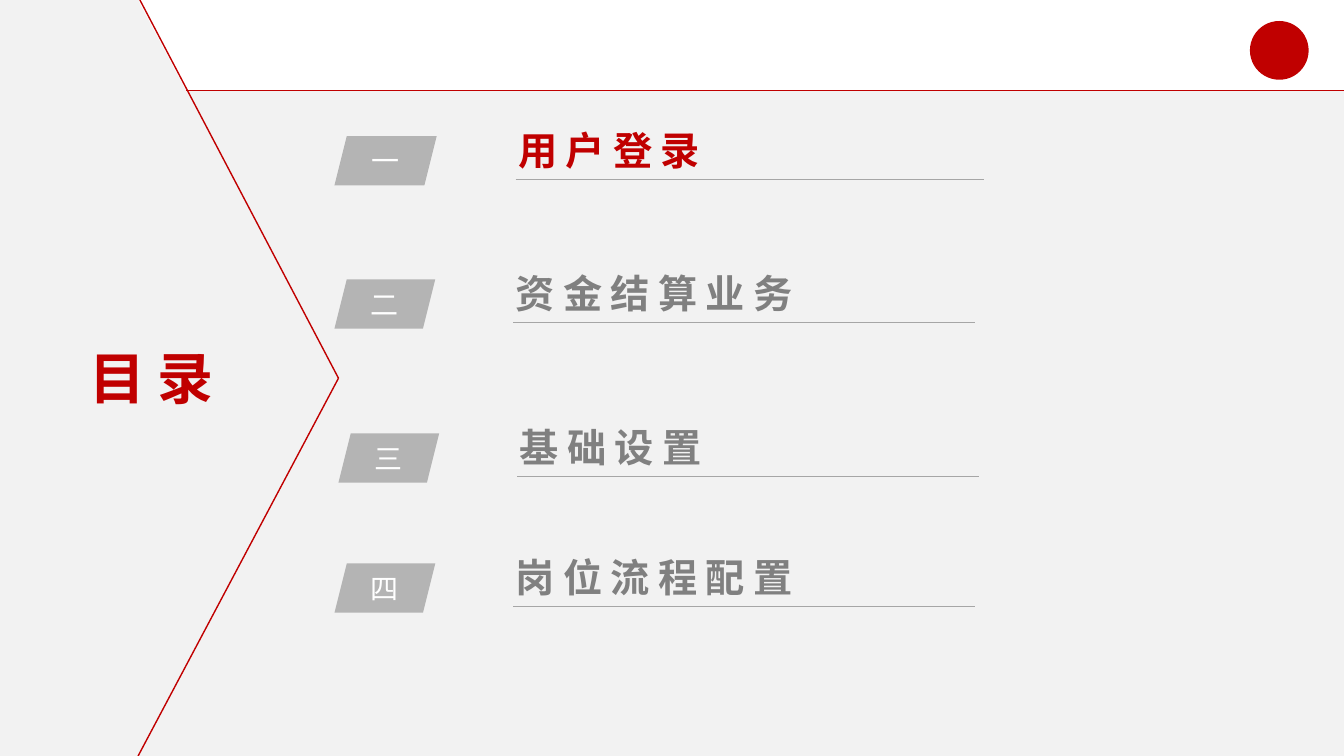
import pptx
import pptx.dml.color
import pptx.enum.shapes
import pptx.enum.text
import pptx.util
from lxml import etree
from pptx.util import Cm

RED = pptx.dml.color.RGBColor(0xC0, 0x00, 0x00)
PANEL = pptx.dml.color.RGBColor(0xF2, 0xF2, 0xF2)
TAG = pptx.dml.color.RGBColor(0xB4, 0xB4, 0xB4)
RULE = pptx.dml.color.RGBColor(0xA6, 0xA6, 0xA6)
HEADING = pptx.dml.color.RGBColor(0x80, 0x80, 0x80)
WHITE = pptx.dml.color.RGBColor(0xFF, 0xFF, 0xFF)

SHAPE = pptx.enum.shapes.MSO_SHAPE
CENTER = pptx.enum.text.PP_ALIGN.CENTER
WIDTH, HEIGHT = 33.87, 19.05
HEADER = 2.29
TIP_X, TIP_Y = 8.53, 9.53

presentation = pptx.Presentation()
presentation.slide_width = Cm(WIDTH)
presentation.slide_height = Cm(HEIGHT)
slide = presentation.slides.add_slide(presentation.slide_layouts[6])


def add_filled(preset, left, top, width, height, color):
    shape = slide.shapes.add_shape(preset, Cm(left), Cm(top), Cm(width), Cm(height))
    shape.shadow.inherit = False
    shape.fill.solid()
    shape.fill.fore_color.rgb = color
    shape.line.fill.background()
    return shape


def add_line(x1, y1, x2, y2, color, points):
    line = slide.shapes.add_connector(
        pptx.enum.shapes.MSO_CONNECTOR.STRAIGHT, Cm(x1), Cm(y1), Cm(x2), Cm(y2))
    line.line.color.rgb = color
    line.line.width = pptx.util.Pt(points)
    etree.SubElement(line._element.spPr, pptx.oxml.ns.qn("a:effectLst"))


# Background, header rule and emblem
add_filled(SHAPE.RECTANGLE, 0, HEADER, WIDTH, HEIGHT - HEADER, PANEL)
add_line(0, HEADER, WIDTH, HEADER, RED, 0.75)
add_filled(SHAPE.OVAL, 31.5, 0.53, 1.48, 1.48, RED)

# Left arrow panel
add_filled(SHAPE.RECTANGLE, 0, 0, 3.5, HEIGHT, PANEL)
arrow = add_filled(SHAPE.ISOSCELES_TRIANGLE, -3.53, 6.99, HEIGHT, 5.05, PANEL)
arrow.rotation = 90
add_line(3.5, -0.05, TIP_X, TIP_Y, RED, 1)
add_line(3.48, HEIGHT, TIP_X, TIP_Y, RED, 1)

title = slide.shapes.add_textbox(Cm(1.93), Cm(8.53), Cm(3.78), Cm(1.96))
title.text_frame.word_wrap = False
paragraph = title.text_frame.paragraphs[0]
paragraph.text = "目 录"
paragraph.alignment = CENTER
paragraph.font.name = "Arial"
paragraph.font.size = pptx.util.Pt(40)
paragraph.font.bold = True
paragraph.font.color.rgb = RED

# Contents: number, heading, left, top, text width, horizontal scale, colour
entries = [
    ("一", "用户登录", 8.43, 3.43, 21.06, 1.014, RED),
    ("二", "资金结算业务", 8.43, 7.04, 16.89, 1, HEADING),
    ("三", "基础设置", 8.53, 10.92, 16.89, 1, HEADING),
    ("四", "岗位流程配置", 8.43, 14.2, 16.89, 1, HEADING),
]
for number, heading, left, top, text_width, scale, color in entries:
    tag = add_filled(SHAPE.PARALLELOGRAM, left, top, 2.54 * scale, 1.24, TAG)
    frame = tag.text_frame
    frame.margin_left = frame.margin_right = frame.margin_top = frame.margin_bottom = 0
    frame.vertical_anchor = pptx.enum.text.MSO_ANCHOR.MIDDLE
    paragraph = frame.paragraphs[0]
    paragraph.text = number
    paragraph.alignment = CENTER
    paragraph.font.name = "Arial"
    paragraph.font.size = pptx.util.Pt(20)
    paragraph.font.color.rgb = WHITE

    box = slide.shapes.add_textbox(
        Cm(left + 4.32 * scale), Cm(top - 0.25), Cm(text_width), Cm(1.32))
    box.text_frame.word_wrap = True
    paragraph = box.text_frame.paragraphs[0]
    paragraph.line_spacing = 0.9
    run = paragraph.add_run()
    run.text = heading
    run._r.get_or_add_rPr().set("spc", "600")
    paragraph.font.name = "Arial"
    paragraph.font.size = pptx.util.Pt(28)
    paragraph.font.bold = True
    paragraph.font.color.rgb = color

    rule_left = left + 4.5 * scale
    add_line(rule_left, top + 1.09, rule_left + 11.65 * scale, top + 1.09, RULE, 0.5)

presentation.save("out.pptx")
